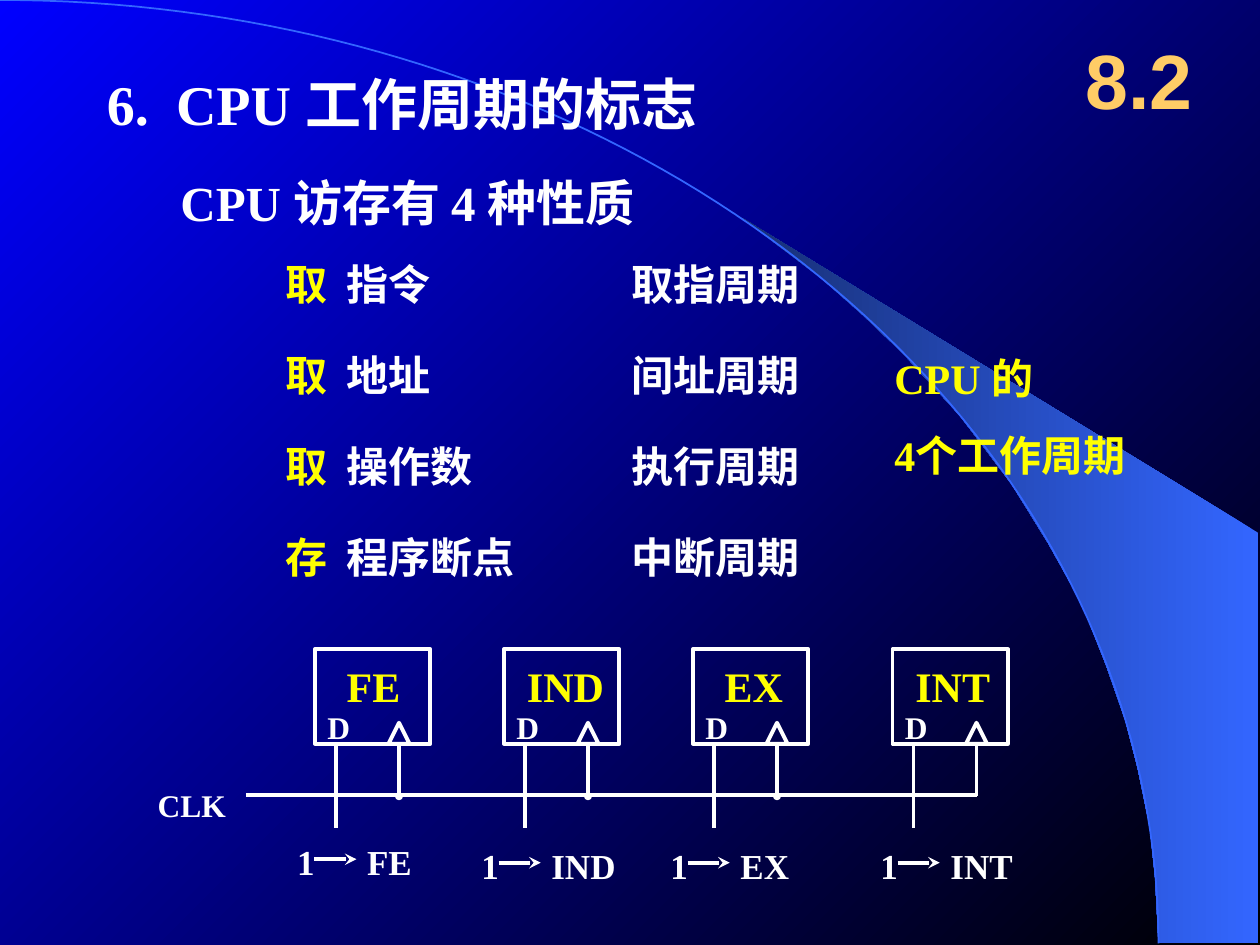
from math import cos, sin, pi
from lxml.etree import SubElement as Sub
from pptx import Presentation
from pptx.dml.color import RGBColor
from pptx.enum.shapes import MSO_CONNECTOR as Conn, MSO_SHAPE as Shape
from pptx.enum.text import MSO_ANCHOR as Anchor, MSO_AUTO_SIZE as Auto, PP_ALIGN as Align
from pptx.oxml.ns import qn
from pptx.util import Pt

HEX = {"white": "FFFFFF", "yellow": "FFFF00", "gold": "FFCC66", "blue": "3366FF",
       "navy": "172F75", "black": "000000", "deep": "0000FF"}


def rgb(name):
    return RGBColor.from_string(HEX[name])


def shade(fill, first, last, angle):
    fill.gradient()
    fill.gradient_angle = angle
    for stop, name in zip(fill.gradient_stops, (first, last)):
        stop.color.rgb = rgb(name)


def stroke(part, color="white", width=2.25):
    part.line.color.rgb = rgb(color)
    part.line.width = Pt(width)


def text(slide, box, paras, size=24, color="white", font="Times New Roman",
         align=Align.LEFT, anchor=Anchor.TOP, grow=True, gap=0, tab=None):
    """Each paragraph is a string or a list of (string, color) runs."""
    shape = slide.shapes.add_textbox(*map(Pt, box))
    frame = shape.text_frame
    frame.word_wrap = True
    frame.vertical_anchor = anchor
    frame.auto_size = Auto.SHAPE_TO_FIT_TEXT if grow else Auto.NONE
    for i, runs in enumerate(paras):
        para = frame.add_paragraph() if i else frame.paragraphs[0]
        para.alignment = align
        if i:
            para.space_before = Pt(gap)
        if tab:
            stops = Sub(para._p.get_or_add_pPr(), qn("a:tabLst"))
            Sub(stops, qn("a:tab"), pos=str(Pt(tab)), algn="l")
        for words, tone in [(runs, color)] if isinstance(runs, str) else runs:
            run = para.add_run()
            run.text = words
            run.font.name, run.font.size, run.font.bold = font, Pt(size), True
            run.font.color.rgb = rgb(tone)


def wire(slide, x1, y1, x2, y2, tip=None, scale="med"):
    line = slide.shapes.add_connector(Conn.STRAIGHT, *map(Pt, (x1, y1, x2, y2)))
    stroke(line)
    props = line.element.spPr
    if tip:
        Sub(props.find(qn("a:ln")), qn("a:tailEnd"), type=tip, w=scale, len=scale)
    Sub(props, qn("a:effectLst"))


def outline(slide, x, y, points, close):
    spots = [(Pt(x + dx), Pt(y + dy)) for dx, dy in points]
    pen = slide.shapes.build_freeform(*spots[0])
    pen.add_line_segments(spots[1:], close=close)
    shape = pen.convert_to_shape()
    shape.shadow.inherit = False
    return shape


def backdrop(slide, wide, high):
    shade(slide.background.fill, "black", "deep", 135)
    # Beam
    beam = outline(slide, 424, 124.5, [
        (238, 414), (295, 414.5), (295, 180), (0, 0), (25, 19), (46, 35), (69, 55.5),
        (91.5, 77), (124.5, 113), (154, 152), (175, 186), (194, 220), (208, 255.5),
        (219, 287), (226, 314), (233, 348), (236, 376.5)], True)
    shade(beam.fill, "blue", "navy", 180)
    beam.line.fill.background()
    # Quarter ellipse
    steps = 80
    turns = [pi / 2 * i / steps for i in range(steps + 1)]
    arc = outline(slide, 0, 0, [(wide * sin(t), high * (1 - cos(t))) for t in turns], False)
    arc.fill.background()
    stroke(arc, "blue", 1)


def heading(slide, x, y):
    text(slide, (x, y, 450, 46), ["6.\tCPU 工作周期的标志"], size=32, tab=39.5)
    text(slide, (x + 42, y + 59, 420, 41), ["CPU 访存有 4 种性质"], size=28)
    text(slide, (x + 552, y - 24, 90, 66), ["8.2"], size=44, color="gold", font="Arial",
         align=Align.CENTER, anchor=Anchor.MIDDLE, grow=False)


def cycles(slide, x, y):
    rows = [("取", "指令", "取指周期"), ("取", "地址", "间址周期"),
            ("取", "操作数", "执行周期"), ("存", "程序断点", "中断周期")]
    for i, (verb, noun, cycle) in enumerate(rows):
        top = y + 52 * i
        text(slide, (x, top, 174, 36), [[(verb, "yellow"), ("\t" + noun, "white")]], tab=34.8)
        text(slide, (x + 198, top, 174, 36), [cycle])
    text(slide, (x + 348, y + 54, 246, 80), ["CPU 的", "4个工作周期"], color="yellow", gap=15)


def flag(slide, x, y, name, inset, wide, dot):
    """A flip-flop with its D input and clock input."""
    text(slide, (x + inset, y + 3, wide, 36), [name], color="yellow")
    for kind, dx, dy, w, h in [(Shape.RECTANGLE, 0, 0, 66, 54),
                               (Shape.ISOSCELES_TRIANGLE, 42, 42, 12, 12)]:
        part = slide.shapes.add_shape(kind, *map(Pt, (x + dx, y + dy, w, h)))
        part.shadow.inherit = False
        part.fill.background()
        stroke(part)
    text(slide, (x, y + 30, 30, 29), ["D"], size=18)
    wire(slide, x + 12, y + 54, x + 12, y + 102)
    wire(slide, x + 48, y + 54, x + 48, y + 84, tip=dot, scale="sm")


def setting(slide, x, y, name, wide):
    """The caption 1 -> name."""
    text(slide, (x, y, 27, 32), ["1"], size=20)
    wire(slide, x + 17, y + 14, x + 41, y + 14, tip="stealth")
    text(slide, (x + 40, y, wide, 32), [name], size=20)


def circuit(slide, x, y):
    # name, left, label inset and width, caption shift, drop and width, clock dot
    flags = [("FE", 97, 11, 49, -17.3, 106, 44, "oval"),
             ("IND", 205, 6, 63, -20, 108, 56, "oval"),
             ("EX", 313, 11, 52, -20, 108, 46, "oval"),
             ("INT", 427, 6, 61, -14, 108, 54, None)]
    for name, left, inset, wide, shift, drop, span, dot in flags:
        flag(slide, x + left, y, name, inset, wide, dot)
        setting(slide, x + left + shift, y + drop, name, span)
    # Clock line
    text(slide, (x, y + 74.5, 57, 29), ["CLK"], size=18)
    wire(slide, x + 57.5, y + 83.5, x + 475.5, y + 83.5)


def main():
    deck = Presentation()
    deck.slide_width, deck.slide_height = Pt(720), Pt(540)
    slide = deck.slides.add_slide(deck.slide_layouts[6])
    backdrop(slide, 662, 539)
    heading(slide, 54, 36)
    cycles(slide, 156, 144)
    circuit(slide, 83, 371)
    deck.save("out.pptx")


if __name__ == "__main__":
    main()
